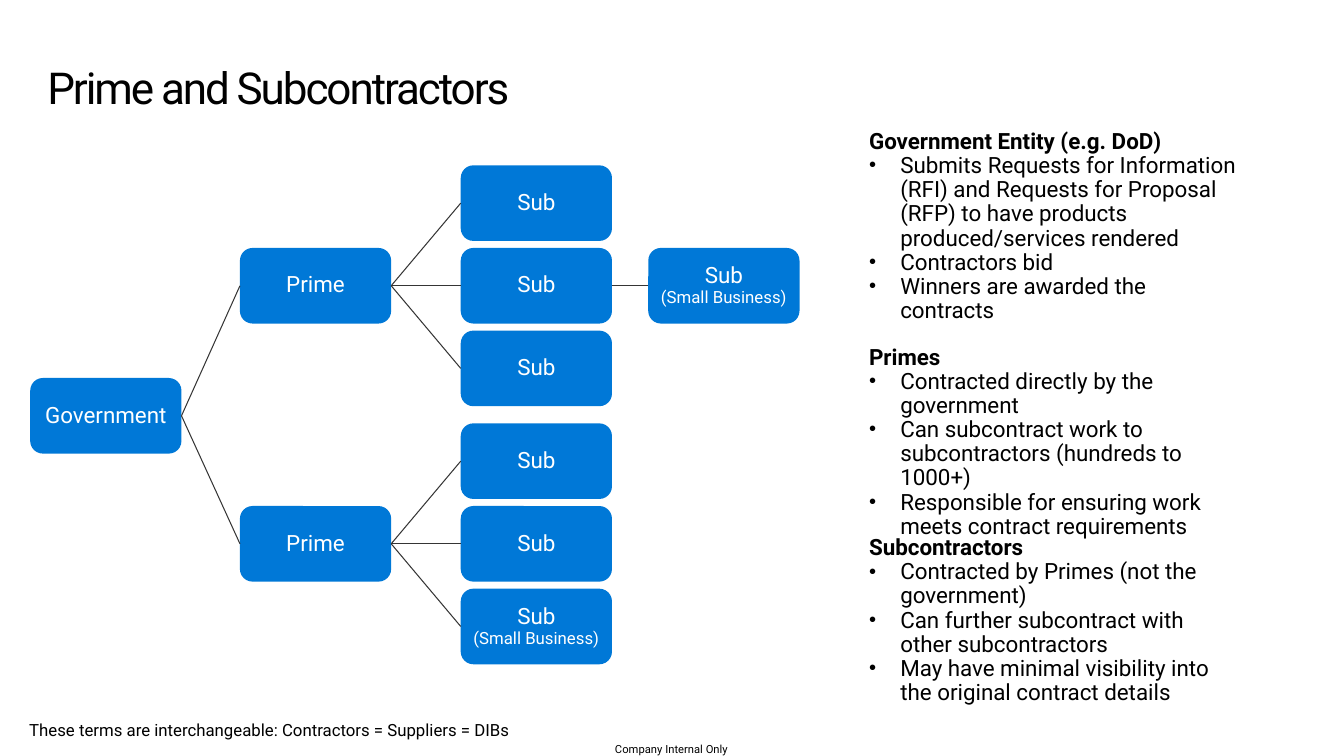
"""Build the slide on prime contractors and subcontractors."""
import lxml.etree
import pptx
import pptx.dml.color
import pptx.enum.shapes
import pptx.enum.text
import pptx.oxml.ns
import pptx.util

Inches = pptx.util.Inches
ALIGN = pptx.enum.text.PP_ALIGN
WIDE, HIGH, STEP = 1.5, 0.75, 0.82
SMALL = "Sub\n(Small Business)"

NOTES = [
    (1.29, 3.67, 1.94, "Government Entity (e.g. DoD)", [
        "Submits Requests for Information (RFI) and Requests for Proposal "
        "(RFP) to have products produced/services rendered",
        "Contractors bid",
        "Winners are awarded the contracts",
    ]),
    (3.43, 3.76, 1.7, "Primes", [
        "Contracted directly by the government",
        "Can subcontract work to subcontractors (hundreds to 1000+)",
        "Responsible for ensuring work meets contract requirements",
    ]),
    (5.32, 3.67, 1.7, "Subcontractors", [
        "Contracted by Primes (not the government)",
        "Can further subcontract with other subcontractors",
        "May have minimal visibility into the original contract details",
    ]),
]


def paint(color, code):
    """Set a colour format to a hex colour."""
    color.rgb = pptx.dml.color.RGBColor.from_string(code)


def write(par, text, size, code="000000", bold=False, align=ALIGN.LEFT):
    """Add one run to a paragraph and return it."""
    par.alignment = align
    par.line_spacing = 0.9
    run = par.add_run()
    run.text = text
    run.font.name = "Roboto"
    run.font.size = pptx.util.Pt(size)
    run.font.bold = bold
    paint(run.font.color, code)
    return run


def inset(frame, top=0, base=0):
    """Wrap a text frame and set its insets."""
    frame.word_wrap = True
    frame.margin_left = frame.margin_right = 0
    frame.margin_top, frame.margin_bottom = Inches(top), Inches(base)


def add_text(slide, left, top, wide, high, inner=0):
    """Add an empty text box and return its frame."""
    box = slide.shapes.add_textbox(*map(Inches, (left, top, wide, high)))
    inset(box.text_frame, inner)
    return box.text_frame


def add_dot(par):
    """Give a paragraph a hanging round bullet."""
    props = par._p.get_or_add_pPr()
    props.set("marL", str(Inches(0.31)))
    props.set("indent", str(-Inches(0.31)))
    for tag, key, value in (("buSzPct", "val", "90000"),
                            ("buFont", "typeface", "Arial"),
                            ("buChar", "char", "•")):
        item = lxml.etree.SubElement(props, pptx.oxml.ns.qn("a:" + tag))
        item.set(key, value)


def add_note(slide, top, wide, high, head, points):
    """Add a bold heading with bullet points below it."""
    frame = add_text(slide, 8.62, top, wide, high)
    write(frame.paragraphs[0], head, 16, bold=True)
    for point in points:
        par = frame.add_paragraph()
        add_dot(par)
        write(par, point, 16)


def add_node(slide, text, left, top):
    """Add a blue rounded box; a second line is set smaller."""
    kind = pptx.enum.shapes.MSO_SHAPE.ROUNDED_RECTANGLE
    node = slide.shapes.add_shape(kind, *map(Inches, (left, top, WIDE, HIGH)))
    node.shadow.inherit = False
    node.fill.solid()
    paint(node.fill.fore_color, "0078D7")
    node.line.fill.background()
    frame = node.text_frame
    inset(frame, 0.16, 0.16)
    frame.vertical_anchor = pptx.enum.text.MSO_ANCHOR.MIDDLE
    for i, line in enumerate(text.split("\n")):
        par = frame.add_paragraph() if i else frame.paragraphs[0]
        write(par, line, 12 if i else 16, "FFFFFF", align=ALIGN.CENTER)
    return node


def add_link(slide, start, end):
    """Join the right side of one box to the left side of another."""
    kind = pptx.enum.shapes.MSO_CONNECTOR.STRAIGHT
    link = slide.shapes.add_connector(kind, 0, 0, 0, 0)
    link.begin_connect(start, 3)
    link.end_connect(end, 1)
    link.line.width = pptx.util.Pt(0.75)
    paint(link.line.color, "353535")
    props = link._element.spPr
    lxml.etree.SubElement(props, pptx.oxml.ns.qn("a:effectLst"))


def add_tree(slide):
    """Add the government, its primes and their subcontractors."""
    root = add_node(slide, "Government", 0.3, 3.75)
    groups = ((2.46, ("Sub", "Sub", "Sub")), (5.02, ("Sub", "Sub", SMALL)))
    for top, names in groups:
        prime = add_node(slide, "Prime", 2.38, top)
        add_link(slide, root, prime)
        subs = [add_node(slide, name, 4.57, top + (i - 1) * STEP)
                for i, name in enumerate(names)]
        for sub in subs:
            add_link(slide, prime, sub)
        if top == groups[0][0]:
            add_link(slide, subs[1], add_node(slide, SMALL, 6.43, top))


def main():
    """Build and save the slide."""
    deck = pptx.Presentation()
    deck.slide_width, deck.slide_height = Inches(13.33), Inches(7.5)
    slide = deck.slides.add_slide(deck.slide_layouts[6])
    title = add_text(slide, 0.47, 0.48, 12.4, 0.81, 0.18)
    run = write(title.paragraphs[0], "Prime and Subcontractors", 31.4)
    run._r.get_or_add_rPr().set("spc", "-150")
    add_tree(slide)
    for note in NOTES:
        add_note(slide, *note)
    terms = add_text(slide, 0.29, 7.16, 10.06, 0.18)
    write(terms.paragraphs[0],
          "These terms are interchangeable: Contractors = Suppliers = DIBs", 12)
    label = add_text(slide, 5.87, 7.38, 1.58, 0.12)
    write(label.paragraphs[0], "Company Internal Only", 8, align=ALIGN.CENTER)
    deck.save("out.pptx")


if __name__ == "__main__":
    main()
